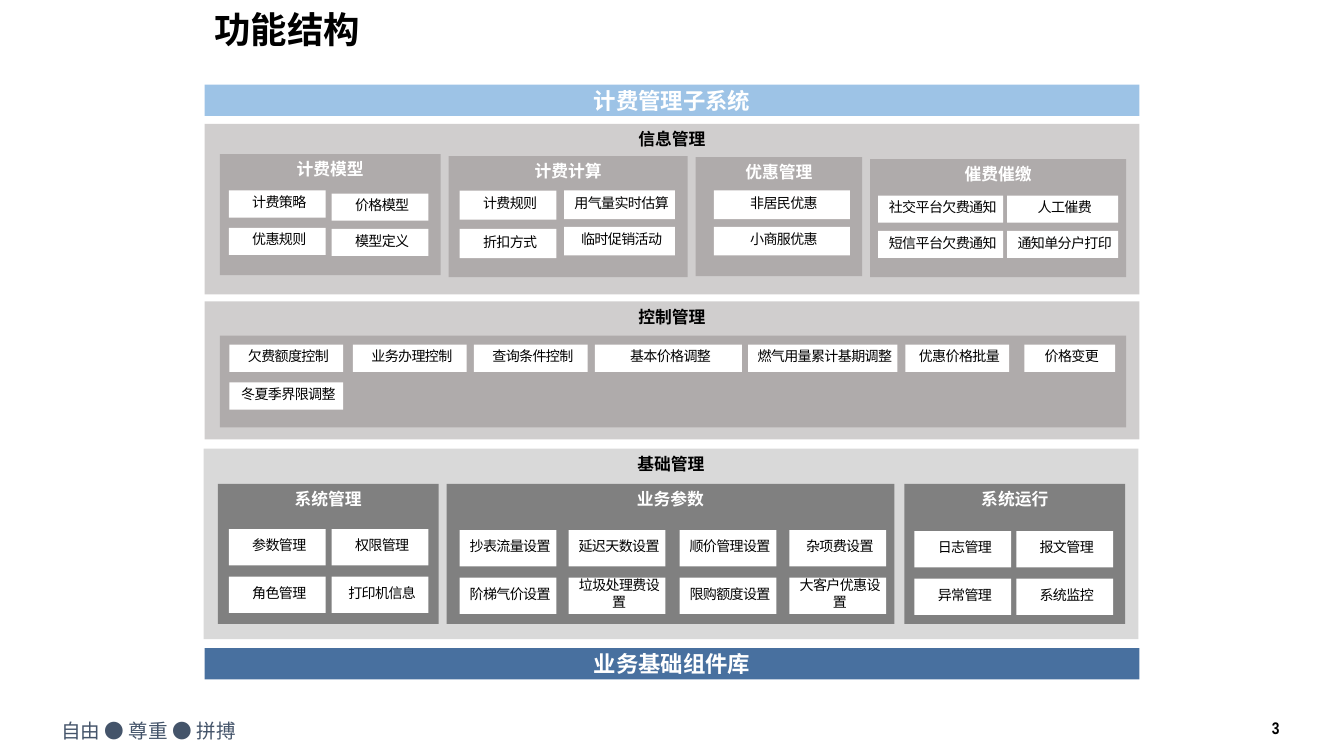
"""Builds the function structure slide of a billing management system."""
from lxml import etree
from pptx import Presentation
from pptx.dml.color import RGBColor
from pptx.enum.shapes import MSO_SHAPE
from pptx.enum.text import MSO_ANCHOR, PP_ALIGN
from pptx.oxml.ns import qn
from pptx.util import Inches, Pt

RECTANGLE = MSO_SHAPE.RECTANGLE
TOP, MIDDLE = MSO_ANCHOR.TOP, MSO_ANCHOR.MIDDLE
LEFT, CENTER, RIGHT = PP_ALIGN.LEFT, PP_ALIGN.CENTER, PP_ALIGN.RIGHT

WHITE = RGBColor(0xFF, 0xFF, 0xFF)
BLACK = RGBColor(0x00, 0x00, 0x00)
SLATE = RGBColor(0x44, 0x54, 0x6A)
SKY = RGBColor(0x9D, 0xC3, 0xE6)
NAVY = RGBColor(0x48, 0x70, 0x9F)
PALE_GRAY = RGBColor(0xD9, 0xD9, 0xD9)
LIGHT_GRAY = RGBColor(0xD0, 0xCE, 0xCE)
MID_GRAY = RGBColor(0xAF, 0xAB, 0xAB)
DARK_GRAY = RGBColor(0x80, 0x80, 0x80)

SANS, ARIAL, NARROW = "Noto Sans CJK SC", "Arial", "Arial Narrow"
CELL = Inches(0.1)
TILE_MARGINS = {"margin_left": Inches(0.08), "margin_top": Inches(0.04),
                "margin_right": Inches(0.04), "margin_bottom": Inches(0.08)}

BANNERS = [
    ("计费管理子系统", (20.3, 8.4, 92.7, 3.1), SKY, ARIAL),
    ("业务基础组件库", (20.3, 64.3, 92.7, 3.1), NAVY, SANS),
]
SECTIONS = [
    ("信息管理", (20.3, 12.3, 92.7, 16.9), LIGHT_GRAY),
    ("控制管理", (20.3, 29.9, 92.7, 13.7), LIGHT_GRAY),
    ("基础管理", (20.2, 44.5, 92.7, 18.9), PALE_GRAY),
]
GROUPS = [
    ("计费模型", (21.8, 15.3, 21.9, 12), MID_GRAY),
    ("计费计算", (44.5, 15.5, 23.7, 12), MID_GRAY),
    ("优惠管理", (69, 15.6, 16.5, 11.8), MID_GRAY),
    ("催费催缴", (86.3, 15.8, 25.4, 11.7), MID_GRAY),
    ("", (21.8, 33.3, 89.9, 9.1), MID_GRAY),
    ("系统管理", (21.6, 48, 21.9, 13.9), DARK_GRAY),
    ("业务参数", (44.3, 48, 44.4, 13.9), DARK_GRAY),
    ("系统运行", (89.7, 48, 21.9, 13.9), DARK_GRAY),
]
INFORMATION_STACKS = [
    (22.7, 18.9, 9.6, 2.7, 3.7, ["计费策略", "优惠规则"]),
    (32.9, 19.2, 9.6, 2.7, 3.5, ["价格模型", "模型定义"]),
    (45.6, 18.9, 9.6, 2.9, 3.8, ["计费规则", "折扣方式"]),
    (55.95, 18.9, 11, 2.85, 3.6, ["用气量实时估算", "临时促销活动"]),
    (70.8, 18.9, 13.5, 2.85, 3.6, ["非居民优惠", "小商服优惠"]),
    (87.1, 19.4, 12.4, 2.7, 3.5, ["社交平台欠费通知", "短信平台欠费通知"]),
    (99.9, 19.4, 11, 2.7, 3.5, ["人工催费", "通知单分户打印"]),
]
CONTROL_STACKS = [
    (left, 34.2, width, 2.7, 3.75, labels) for left, width, labels in [
        (22.75, 11.3, ["欠费额度控制", "冬夏季界限调整"]),
        (35, 11.3, ["业务办理控制"]),
        (47, 11.3, ["查询条件控制"]),
        (59, 14.6, ["基本价格调整"]),
        (74.2, 14.8, ["燃气用量累计基期调整"]),
        (89.8, 10.3, ["优惠价格批量"]),
        (101.6, 9, ["价格变更"]),
    ]
]
BASE_STACKS = [
    (left, top, 9.6, 3.6, 4.7, labels) for left, top, labels in [
        (22.7, 52.5, ["参数管理", "角色管理"]),
        (32.9, 52.5, ["权限管理", "打印机信息"]),
        (45.6, 52.6, ["抄表流量设置", "阶梯气价设置"]),
        (56.4, 52.6, ["延迟天数设置", "垃圾处理费设置"]),
        (67.4, 52.6, ["顺价管理设置", "限购额度设置"]),
        (78.3, 52.6, ["杂项费设置", "大客户优惠设置"]),
        (90.7, 52.7, ["日志管理", "异常管理"]),
        (100.8, 52.7, ["报文管理", "系统监控"]),
    ]
]


def apply_format(target, values):
    for name, value in values.items():
        setattr(target, name, value)


class StructurePage:
    """Holds the style and the current slide, with one method per element."""

    def __init__(self, page):
        self.shapes = page.shapes

    def place(self, area):
        return [round(CELL * length) for length in area]

    def label(self, box, text, font, size, color, bold=False, align=CENTER,
              anchor=TOP, margins=None, spacing=None, paragraph=None):
        frame = box.text_frame
        apply_format(frame, {"word_wrap": True, "vertical_anchor": anchor,
                             **(margins or {})})
        para = frame.paragraphs[0]
        apply_format(para, {"alignment": align, **(paragraph or {})})
        span = para.add_run()
        span.text = text
        apply_format(span.font, {"name": font, "size": Pt(size), "bold": bold})
        span.font.color.rgb = color
        properties = span._r.get_or_add_rPr()
        etree.SubElement(properties, qn("a:ea")).set("typeface", SANS)
        if spacing:
            properties.set("spc", str(spacing))

    def text(self, area, text, font, size, color, **style):
        box = self.shapes.add_textbox(*self.place(area))
        self.label(box, text, font, size, color, **style)

    def block(self, area, fill):
        box = self.shapes.add_shape(RECTANGLE, *self.place(area))
        box.shadow.inherit = False
        box.fill.solid()
        box.fill.fore_color.rgb = fill
        box.line.fill.background()
        return box

    def banner(self, title, area, fill, font):
        self.label(self.block(area, fill), title, font, 16, WHITE,
                   bold=True, anchor=MIDDLE)

    def panel(self, title, area, fill, color):
        box = self.block(area, fill)
        if title:
            self.label(box, title, ARIAL, 12, color, bold=True)

    def stack(self, left, top, width, height, step, labels):
        for row, label in enumerate(labels):
            box = self.block((left, top + row * step, width, height), WHITE)
            self.label(box, label, SANS, 10, BLACK, anchor=MIDDLE,
                       margins=TILE_MARGINS, spacing=-40)


deck = Presentation()
apply_format(deck, {"slide_width": Inches(13.33), "slide_height": Inches(7.5)})
page = StructurePage(deck.slides.add_slide(deck.slide_layouts[6]))

page.text((20.3, 0.7, 63.5, 5.9), "功能结构", SANS, 26, BLACK, bold=True, align=LEFT,
          paragraph={"line_spacing": 0.9, "space_before": Pt(10)})
for banner in BANNERS:
    page.banner(*banner)
for section in SECTIONS:
    page.panel(*section, BLACK)
for group in GROUPS:
    page.panel(*group, WHITE)
for stack in INFORMATION_STACKS + CONTROL_STACKS + BASE_STACKS:
    page.stack(*stack)
page.text((5.1, 70.8, 34.7, 3.4), "自由 ● 尊重 ● 拼搏", SANS, 14, SLATE, align=LEFT)
page.text((120.9, 71.1, 7, 2.3), "3", NARROW, 12, BLACK, bold=True,
          align=RIGHT, anchor=MIDDLE)

deck.save("out.pptx")
